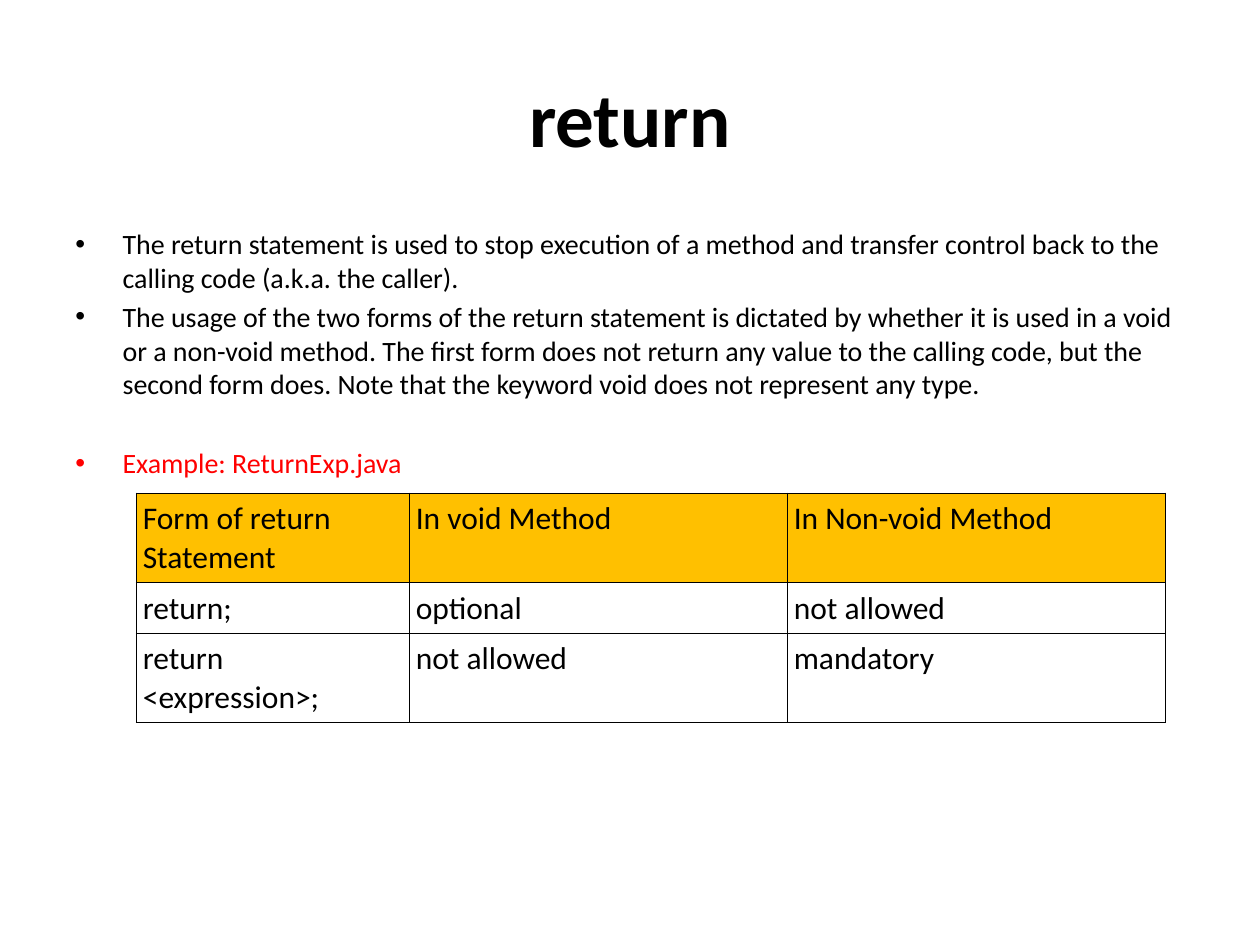
import pptx
import pptx.dml.color
import pptx.enum.text
import pptx.oxml
import pptx.oxml.ns
import pptx.util

Pt = pptx.util.Pt
RGBColor = pptx.dml.color.RGBColor

BLACK = RGBColor(0x00, 0x00, 0x00)
RED = RGBColor(0xFF, 0x00, 0x00)
AMBER = RGBColor(0xFF, 0xC0, 0x00)
FONT = "Calibri"
BULLET_INDENT = Pt(27)
CELL_MARGIN = Pt(3.6)
NAMESPACE = pptx.oxml.ns.nsdecls("a")


def add_span(para, text, size, color=BLACK, bold=False):
    span = para.add_run()
    span.text = text
    span.font.name = FONT
    span.font.size = Pt(size)
    span.font.bold = bold
    span.font.color.rgb = color


def add_borders(cell):
    properties = cell._tc.get_or_add_tcPr()
    for position, side in enumerate(("lnL", "lnR", "lnT", "lnB")):
        border = pptx.oxml.parse_xml(
            f'<a:{side} {NAMESPACE} w="{Pt(1)}"><a:solidFill>'
            f'<a:srgbClr val="{BLACK}"/></a:solidFill></a:{side}>')
        properties.insert(position, border)


deck = pptx.Presentation()
deck.slide_width, deck.slide_height = Pt(720), Pt(540)
page = deck.slides.add_slide(deck.slide_layouts[6])

# Title
title_box = page.shapes.add_textbox(Pt(36), Pt(21.6), Pt(648), Pt(90))
title_box.text_frame.word_wrap = True
title_box.text_frame.vertical_anchor = pptx.enum.text.MSO_ANCHOR.MIDDLE
title_para = title_box.text_frame.paragraphs[0]
title_para.alignment = pptx.enum.text.PP_ALIGN.CENTER
add_span(title_para, "return", 44, bold=True)

# Bullets: text, colour, space before
bullets = [
    ("The return statement is used to stop execution of a method and transfer "
     "control back to the calling code (a.k.a. the caller).", BLACK, 3.2),
    ("The usage of the two forms of the return statement is dictated by whether "
     "it is used in a void or a non-void method. The first form does not return "
     "any value to the calling code, but the second form does. Note that the "
     "keyword void does not represent any type.", BLACK, 3.2),
    ("Example: ReturnExp.java", RED, 26),
]
body_box = page.shapes.add_textbox(Pt(36), Pt(126), Pt(648), Pt(356.4))
body = body_box.text_frame
body.word_wrap = True
for index, (text, color, space) in enumerate(bullets):
    para = body.add_paragraph() if index else body.paragraphs[0]
    para.space_before = Pt(space)
    add_span(para, text, 16, color)
    properties = para._p.get_or_add_pPr()
    properties.set("marL", str(BULLET_INDENT))
    properties.set("indent", str(-BULLET_INDENT))
    properties.append(pptx.oxml.parse_xml(f'<a:buFont {NAMESPACE} typeface="Arial"/>'))
    properties.append(pptx.oxml.parse_xml(f'<a:buChar {NAMESPACE} char="•"/>'))

# Table of return forms
rows = [
    ("Form of return Statement", "In void Method", "In Non-void Method"),
    ("return;", "optional", "not allowed"),
    ("return <expression>;", "not allowed", "mandatory"),
]
column_widths = [156, 216, 216]
row_heights = [51, 29, 51]
table = page.shapes.add_table(
    len(rows), len(column_widths), Pt(78), Pt(282),
    Pt(sum(column_widths)), Pt(sum(row_heights))).table
for column, width in zip(table.columns, column_widths):
    column.width = Pt(width)
for row_index, (texts, height) in enumerate(zip(rows, row_heights)):
    table.rows[row_index].height = Pt(height)
    for column_index, text in enumerate(texts):
        cell = table.cell(row_index, column_index)
        cell.margin_left = cell.margin_right = CELL_MARGIN
        cell.margin_top = cell.margin_bottom = CELL_MARGIN
        if row_index == 0:
            cell.fill.solid()
            cell.fill.fore_color.rgb = AMBER
        else:
            cell.fill.background()
        add_borders(cell)
        add_span(cell.text_frame.paragraphs[0], text, 18)

deck.save("out.pptx")
